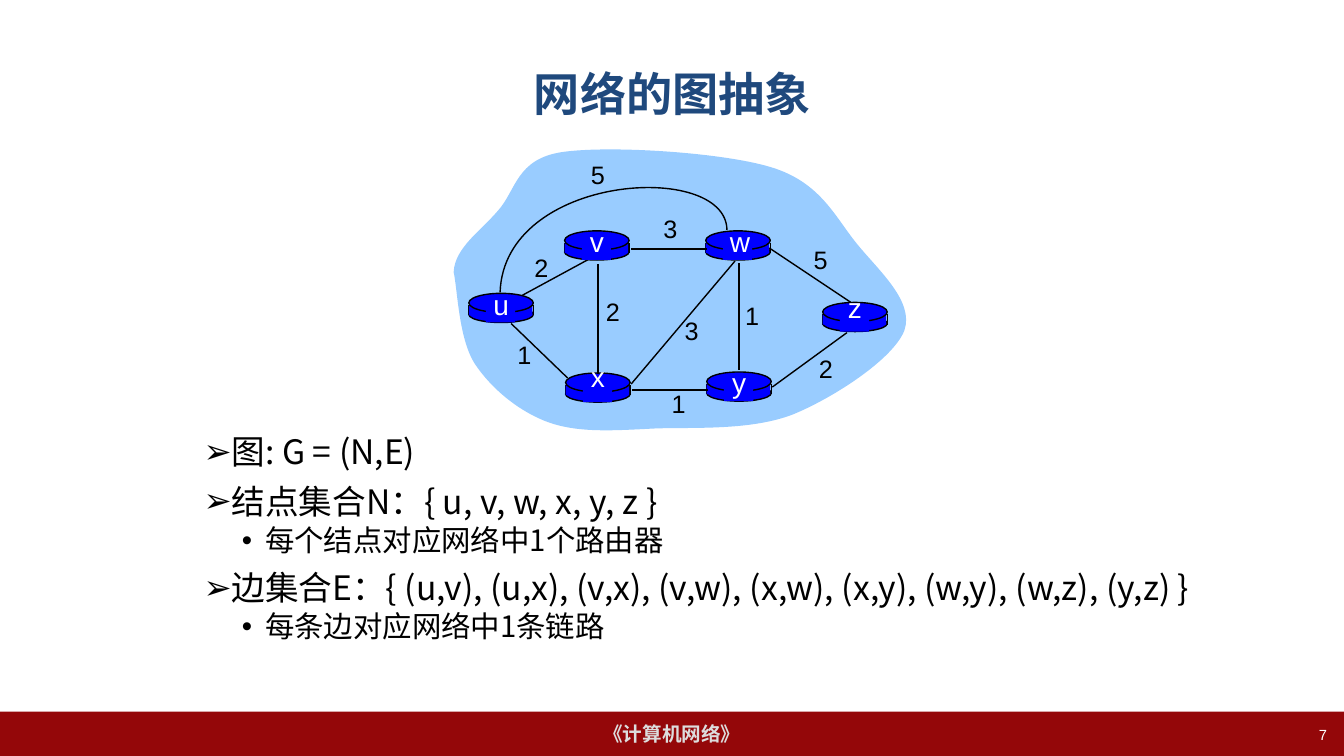
from lxml import etree
from pptx import Presentation
from pptx import util as u
from pptx.dml.color import RGBColor
from pptx.enum import shapes, text
from pptx.oxml.ns import qn

SCALE = 9144
BLACK = RGBColor(0x00, 0x00, 0x00)
WHITE = RGBColor(0xFF, 0xFF, 0xFF)
NAVY = RGBColor(0x1F, 0x49, 0x7D)
BLUE = RGBColor(0x00, 0x00, 0xFF)
SKY = RGBColor(0x99, 0xCC, 0xFF)
MAROON = RGBColor(0x94, 0x07, 0x09)
SILVER = RGBColor(0xDD, 0xDD, 0xDD)
LATIN, CHINESE = "Arial", "Noto Sans CJK SC"
LEFT, CENTER, RIGHT = text.PP_ALIGN.LEFT, text.PP_ALIGN.CENTER, text.PP_ALIGN.RIGHT
RECTANGLE, OVAL = shapes.MSO_SHAPE.RECTANGLE, shapes.MSO_SHAPE.OVAL

CLOUD = [(450, 270),
         (451, 246), (477, 229), (494, 209), (512, 189), (512, 158), (557, 151),
         (603, 144), (716, 151), (765, 166), (814, 181), (828, 215), (850, 242),
         (872, 269), (907, 299), (897, 328), (886, 356), (828, 394), (787, 411),
         (746, 427), (692, 424), (652, 425), (611, 427), (575, 430), (544, 419),
         (514, 408), (487, 385), (471, 361), (455, 336), (454, 289), (450, 270)]
ARC = [(721, 228), (720, 159), (500, 172), (496, 290)]
ROUTERS = [("u", 465, 291, -11), ("x", 561, 370, -18), ("v", 560, 229, -11),
           ("w", 700, 229, -11), ("y", 701, 369, -11), ("z", 816, 300, -17)]
EDGES = [(733, 261, 733, 367), (593, 262, 593, 371), (626, 381, 729, 259),
         (766, 384, 840, 330), (702, 387, 627, 387), (563, 375, 507, 321),
         (701, 247, 626, 247), (844, 300, 763, 246)]
WEIGHTS = [("2", 517, 245), ("2", 588, 289), ("1", 500, 332), ("3", 666, 308),
           ("1", 653, 380), ("1", 726, 293), ("2", 799, 346), ("5", 794, 237),
           ("3", 645, 207), ("5", 573, 153)]
BODY = [(0, "图: G = (N,E)"),
        (0, "结点集合N：{ u, v, w, x, y, z }"),
        (1, "每个结点对应网络中1个路由器"),
        (0, "边集合E：{ (u,v), (u,x), (v,x), (v,w), (x,w), (x,y), (w,y), (w,z), (y,z) }"),
        (1, "每条边对应网络中1条链路")]
LEVELS = [("➢", 28, 28, 24, 9.6), ("•", 61, 23, 21, 3.4)]


def px(length):
    return u.Emu(length * SCALE)


class Board:
    def __init__(self, page):
        self.shapes = page.shapes

    def style(self, paragraph, size, color, name=LATIN, bold=False):
        font = paragraph.font
        font.size, font.bold, font.name = u.Pt(size), bold, name
        font.color.rgb = color
        defaults = paragraph._p.pPr.find(qn("a:defRPr"))
        etree.SubElement(defaults, qn("a:ea"), typeface=CHINESE)

    def paint(self, shape, fill=None, outlined=False):
        shape.shadow.inherit = False
        if fill is None:
            shape.fill.background()
        else:
            shape.fill.solid()
            shape.fill.fore_color.rgb = fill
        if outlined:
            shape.line.color.rgb = BLACK
            shape.line.width = u.Pt(1)
        else:
            shape.line.fill.background()

    def block(self, kind, left, top, width, height, fill, outlined=False):
        shape = self.shapes.add_shape(kind, px(left), px(top), px(width), px(height))
        self.paint(shape, fill, outlined)
        return shape

    def line(self, x1, y1, x2, y2):
        line = self.shapes.add_connector(
            shapes.MSO_CONNECTOR.STRAIGHT, px(x1), px(y1), px(x2), px(y2))
        line.line.color.rgb = BLACK
        line.line.width = u.Pt(1)
        etree.SubElement(line.element.find(qn("p:spPr")), qn("a:effectLst"))

    def curve(self, points, fill=None, closed=False):
        builder = self.shapes.build_freeform(*points[0], scale=SCALE)
        builder.add_line_segments(points[1:], close=closed)
        shape = builder.convert_to_shape()
        outline = next(shape.element.iter(qn("a:path")))
        steps = outline.findall(qn("a:lnTo"))[:len(points) - 1]
        for first in range(0, len(steps), 3):
            cubic = etree.Element(qn("a:cubicBezTo"))
            steps[first].addprevious(cubic)
            for step in steps[first:first + 3]:
                cubic.append(step[0])
                outline.remove(step)
        self.paint(shape, fill, outlined=not closed)

    def frame(self, left, top, width, height, wrap=True):
        box = self.shapes.add_textbox(px(left), px(top), px(width), px(height))
        box.text_frame.word_wrap = wrap
        return box.text_frame

    def label(self, words, left, top, width, height, size, color,
              align=CENTER, bold=False, wrap=False, anchor=text.MSO_ANCHOR.TOP):
        frame = self.frame(left, top, width, height, wrap)
        frame.vertical_anchor = anchor
        paragraph = frame.paragraphs[0]
        paragraph.text, paragraph.alignment = words, align
        self.style(paragraph, size, color, bold=bold)

    def router(self, left, top):
        self.block(OVAL, left, top + 13, 64, 16, BLUE, True)
        for side in (left, left + 64):
            self.line(side, top + 12, side, top + 22)
        self.block(RECTANGLE, left, top + 12, 63, 10, BLUE)
        self.block(OVAL, left, top, 64, 19, BLUE, True)

    def router_name(self, name, left, top, shift):
        self.block(RECTANGLE, left + 17, top + 2, 29, 27, BLUE)
        self.label(name, left + 14, top + shift, 36, 44, 20, WHITE)

    def bullets(self, items, left, top, width, height):
        frame = self.frame(left, top, width, height)
        for index, (level, words) in enumerate(items):
            mark, margin, hanging, size, before = LEVELS[level]
            paragraph = frame.paragraphs[0] if index == 0 else frame.add_paragraph()
            paragraph.text, paragraph.level = words, level
            paragraph.alignment = LEFT
            paragraph.line_spacing = 0.9
            paragraph.space_before = u.Pt(before if index else 0)
            properties = paragraph._p.get_or_add_pPr()
            properties.set("marL", str(px(margin)))
            properties.set("indent", str(px(-hanging)))
            etree.SubElement(properties, qn("a:buFont"), typeface=LATIN)
            etree.SubElement(properties, qn("a:buChar"), char=mark)
            self.style(paragraph, size, BLACK, CHINESE)

    def footer(self, words, number):
        bar = self.block(RECTANGLE, 0, 706, 1333, 44, MAROON)
        bar.text_frame.vertical_anchor = text.MSO_ANCHOR.MIDDLE
        paragraph = bar.text_frame.paragraphs[0]
        paragraph.text, paragraph.alignment = words, CENTER
        self.style(paragraph, 14, SILVER, bold=True)
        self.label(number, 1015, 715, 311, 35, 10.5, WHITE, RIGHT, wrap=True)


def main():
    deck = Presentation()
    deck.slide_width, deck.slide_height = px(1333), px(750)
    board = Board(deck.slides.add_slide(deck.slide_layouts[6]))
    board.footer("《计算机网络》", "7")
    board.label("网络的图抽象", 67, 30, 1200, 125, 33, NAVY, bold=True,
                wrap=True, anchor=text.MSO_ANCHOR.MIDDLE)
    board.bullets(BODY, 192, 427, 1075, 243)
    board.curve(CLOUD, SKY, closed=True)
    board.line(518, 293, 588, 255)
    for name, left, top, shift in ROUTERS:
        board.router(left, top)
    for edge in EDGES:
        board.line(*edge)
    board.curve(ARC)
    for router in ROUTERS:
        board.router_name(*router)
    for weight, left, top in WEIGHTS:
        board.label(weight, left, top, 40, 47, 18, BLACK)
    deck.save("out.pptx")


if __name__ == "__main__":
    main()
